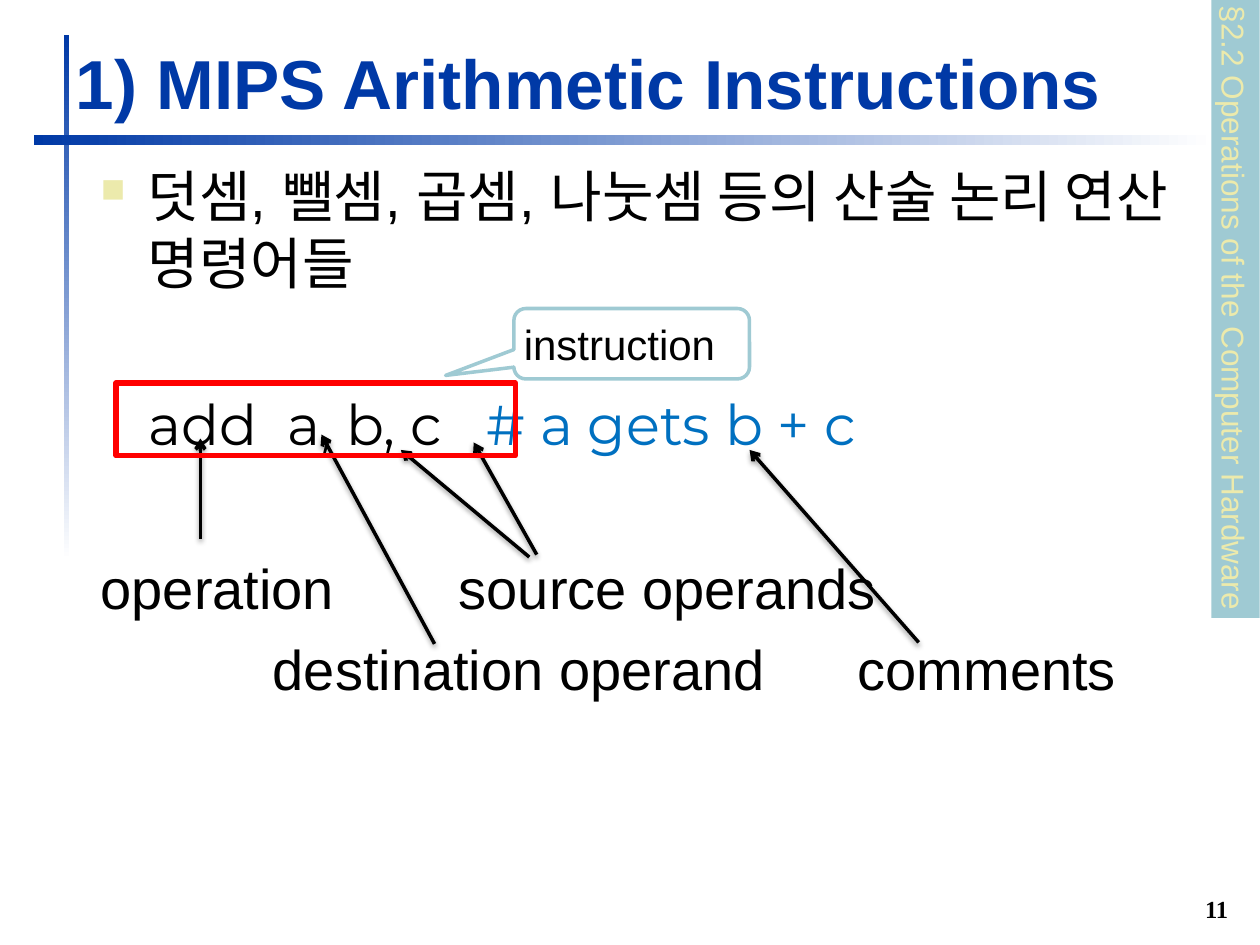
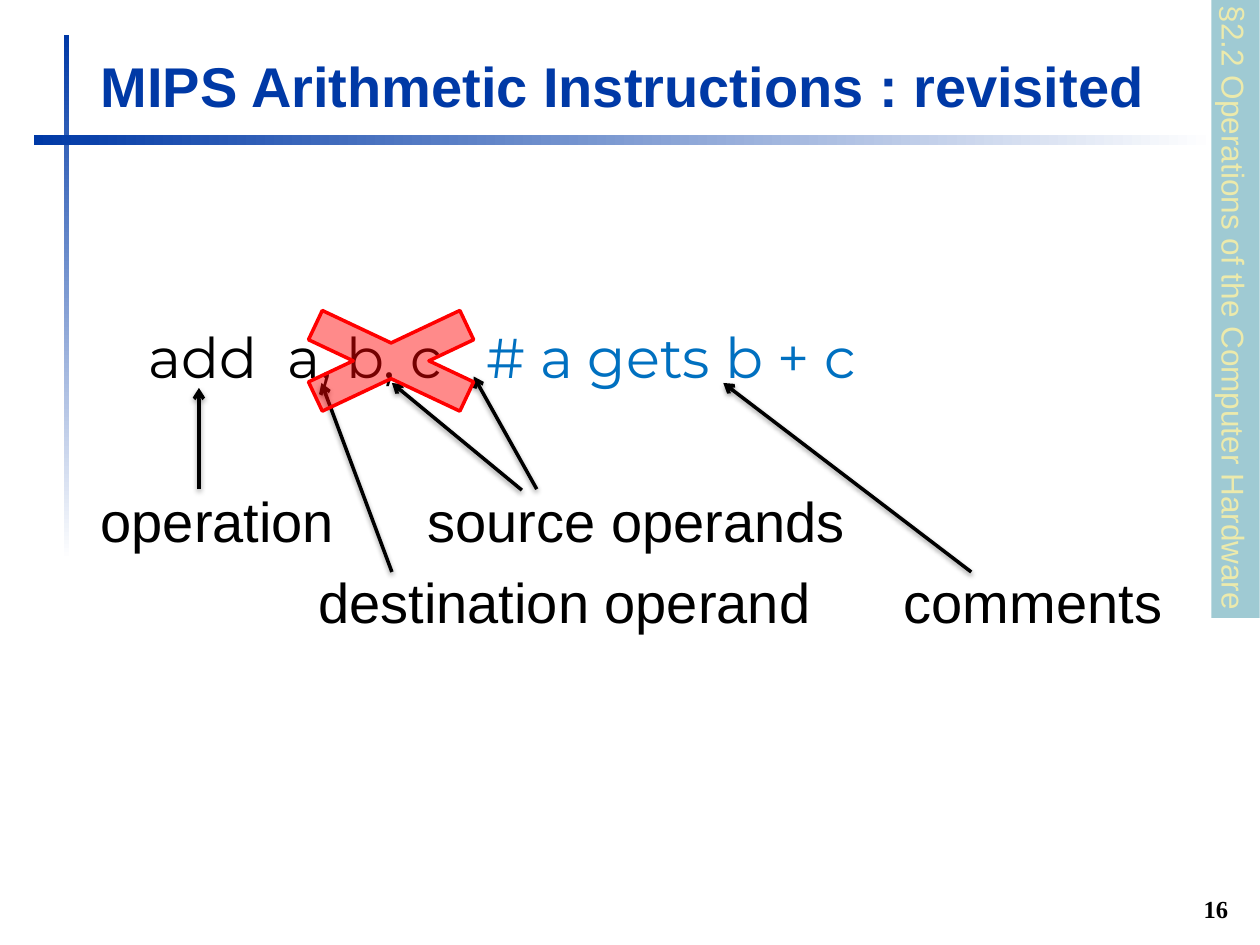
import pptx
import pptx.dml.color
import pptx.enum.dml
import pptx.enum.shapes
import pptx.enum.text
import pptx.oxml
import pptx.oxml.ns
import pptx.util
from lxml import etree

Cm, Pt = pptx.util.Cm, pptx.util.Pt
RGB = pptx.dml.color.RGBColor.from_string
SHAPE = pptx.enum.shapes.MSO_SHAPE
ANCHOR = pptx.enum.text.MSO_ANCHOR
ALIGN = pptx.enum.text.PP_ALIGN
qn = pptx.oxml.ns.qn

COLORS = {"blue": "0039A6", "white": "FFFFFF", "black": "000000", "comment": "0070C0",
          "band": "9FCAD3", "pale": "ECEAAC", "red": "FF0000"}
INSET = Cm(0.13)
FRAME = {"margin_left": INSET, "margin_right": INSET, "margin_top": INSET,
         "margin_bottom": INSET, "word_wrap": True, "vertical_anchor": ANCHOR.TOP}

# Character formats
TITLE = {"size": Pt(32), "name": "Arial", "bold": True}
BODY = {"size": Pt(32), "name": "Arial"}
CODE = {"size": Pt(32), "name": "Montserrat"}
SECTION = {"size": Pt(18), "name": "Arial"}
CALLOUT = {"size": Pt(24), "name": "Arial"}
PAGE = {"size": Pt(14), "name": "Times New Roman", "bold": True}

SHADOW = ('<a:effectLst %s><a:outerShdw blurRad="38100" dist="20320" dir="5400000" '
          'rotWithShape="0"><a:srgbClr val="%s"><a:alpha val="38000"/></a:srgbClr>'
          '</a:outerShdw></a:effectLst>' % (pptx.oxml.ns.nsdecls("a"), COLORS["black"]))

# What differs between the slides; lengths in cm
SLIDES = [
    {"title": "1) MIPS Arithmetic Instructions", "title_at": (1.4, 0.51), "title_size": 39.6,
     "page": "11", "code_top": 7.72,
     "labels": [("operation\tsource operands", [7.22]),
                ("\tdestination operand\tcomments", [3.47, 15.26])],
     "arrows": [(4.04, 10.87, 4.04, 8.84), (10.67, 11.23, 8.08, 9.07),
                (10.82, 11.18, 9.55, 8.92), (8.76, 12.98, 6.48, 8.76),
                (18.52, 12.95, 15.11, 9.07)]},
    {"title": "MIPS Arithmetic Instructions : revisited", "title_at": (1.9, 0.41),
     "title_size": 32, "page": "16", "code_top": 6.38,
     "labels": [("operation\tsource operands", [6.59]),
                ("\tdestination operand\tcomments", [4.39, 16.19])],
     "arrows": [(4.01, 9.86, 4.01, 7.82), (10.52, 9.88, 7.9, 7.72),
                (10.82, 9.86, 9.55, 7.59), (7.9, 11.53, 6.48, 7.72),
                (19.58, 11.53, 14.58, 7.72)]},
]


def add_box(slide, kind, bounds, fill=None, line=None, width=2):
    """Add a preset shape, or a text box when kind is None."""
    bounds = [Cm(length) for length in bounds]
    if kind is None:
        return slide.shapes.add_textbox(*bounds)
    box = slide.shapes.add_shape(kind, *bounds)
    box.shadow.inherit = False
    if fill:
        box.fill.solid()
        box.fill.fore_color.rgb = RGB(COLORS[fill])
    else:
        box.fill.background()
    if line:
        box.line.color.rgb = RGB(COLORS[line])
        box.line.width = Pt(width)
    else:
        box.line.fill.background()
    return box


def write(box, lines, font, align=ALIGN.LEFT, space=0, **frame):
    """Write lines, each a list of (text, colour) runs and a list of tab stops."""
    for key, value in {**FRAME, **frame}.items():
        setattr(box.text_frame, key, value)
    for index, (runs, tabs) in enumerate(lines):
        paragraph = box.text_frame.add_paragraph() if index else box.text_frame.paragraphs[0]
        paragraph.alignment = align
        paragraph.space_before = Pt(space if index else 0)
        if tabs:
            stops = etree.SubElement(paragraph._p.get_or_add_pPr(), qn("a:tabLst"))
            for tab in tabs:
                etree.SubElement(stops, qn("a:tab"), pos=str(Cm(tab)), algn="l")
        for text, color in runs:
            run = paragraph.add_run()
            run.text = text
            run.font.color.rgb = RGB(COLORS[color])
            for key, value in font.items():
                setattr(run.font, key, value)


deck = pptx.Presentation()
deck.slide_width, deck.slide_height = Cm(25.4), Cm(19.05)
slides = []

for content in SLIDES:
    slide = deck.slides.add_slide(deck.slide_layouts[6])
    slides.append(slide)

    # Crossing rules that fade to white
    for bounds, angle in [((1.3, 0.71, 0.1, 10.59), 90), ((0.69, 2.72, 23.8, 0.2), 180)]:
        rule = add_box(slide, SHAPE.RECTANGLE, bounds)
        rule.fill.gradient()
        rule.fill.gradient_angle = angle
        for stop, color, position in zip(rule.fill.gradient_stops, ("white", "blue"), (0, 1)):
            stop.color.rgb = RGB(COLORS[color])
            stop.position = position

    # Page number and title
    page = add_box(slide, None, (23.3, 17.93, 1.59, 0.81))
    write(page, [([(content["page"], "black")], [])], PAGE, ALIGN.RIGHT,
          vertical_anchor=ANCHOR.BOTTOM)
    title = add_box(slide, None, (*content["title_at"], 22.94, 2.11))
    write(title, [([(content["title"], "blue")], [])],
          {**TITLE, "size": Pt(content["title_size"])}, vertical_anchor=ANCHOR.BOTTOM)

    # Instruction with its comment, and the names of its parts
    code = add_box(slide, None, (2.87, content["code_top"], 20, 1.7))
    write(code, [([("add\ta, b, c\t", "black"), ("# a gets b + c", "comment")],
                  [2.79, 6.81])], CODE)
    labels = add_box(slide, None, (1.9, content["code_top"] + 3.3, 22.99, 3.2))
    write(labels, [([(text, "black")], tabs) for text, tabs in content["labels"]],
          BODY, space=8)

    # Section band on the right edge
    section = add_box(slide, SHAPE.RECTANGLE, (18.67, 5.74, 12.47, 0.97), "band")
    section.rotation = 90
    write(section, [([("§2.2 Operations of the Computer Hardware", "pale")], [])],
          SECTION, word_wrap=False)

    # Arrows from the names to the parts
    for ends in content["arrows"]:
        arrow = slide.shapes.add_connector(pptx.enum.shapes.MSO_CONNECTOR.STRAIGHT,
                                           *[Cm(end) for end in ends])
        arrow.line.color.rgb = RGB(COLORS["black"])
        arrow.line.width = Pt(2)
        etree.SubElement(arrow.line._get_or_add_ln(), qn("a:tailEnd"), type="arrow")
        arrow._element.spPr.append(pptx.oxml.parse_xml(SHADOW))

introduction, revisited = slides

# Introduction: bulleted summary
summary = add_box(introduction, None, (1.9, 3.12, 22.99, 3.2))
write(summary, [([("덧셈, 뺄셈, 곱셈, 나눗셈 등의 산술 논리 연산 명령어들", "black")], [])], BODY)
summary_line = summary.text_frame.paragraphs[0]
summary_line.space_before = Pt(7)
bullet = summary_line._p.get_or_add_pPr()
bullet.set("marL", str(Cm(0.95)))
bullet.set("indent", str(-Cm(0.95)))
bullet_color = etree.SubElement(bullet, qn("a:buClr"))
etree.SubElement(bullet_color, qn("a:srgbClr"), val=COLORS["pale"])
etree.SubElement(bullet, qn("a:buSzPct"), val="60000")
etree.SubElement(bullet, qn("a:buChar"), char="■")

# Introduction: frame around the instruction and its callout
add_box(introduction, SHAPE.RECTANGLE, (2.34, 7.72, 8.05, 1.47), line="red", width=3)
callout = add_box(introduction, SHAPE.ROUNDED_RECTANGULAR_CALLOUT,
                  (10.36, 6.22, 4.75, 1.42), "white", "band")
for index, value in enumerate((-0.79, 0.45, 0.17)):
    callout.adjustments[index] = value
write(callout, [([("instruction", "black")], [])], CALLOUT, vertical_anchor=ANCHOR.MIDDLE)

# Revisited: translucent cross over the operands
cross = add_box(revisited, SHAPE.MATH_MULTIPLY, (4.95, 5.89, 5.87, 2.77), "red", "red")
cross_color = cross._element.spPr.find(qn("a:solidFill")).find(qn("a:srgbClr"))
etree.SubElement(cross_color, qn("a:alpha"), val="46000")

deck.save("out.pptx")
